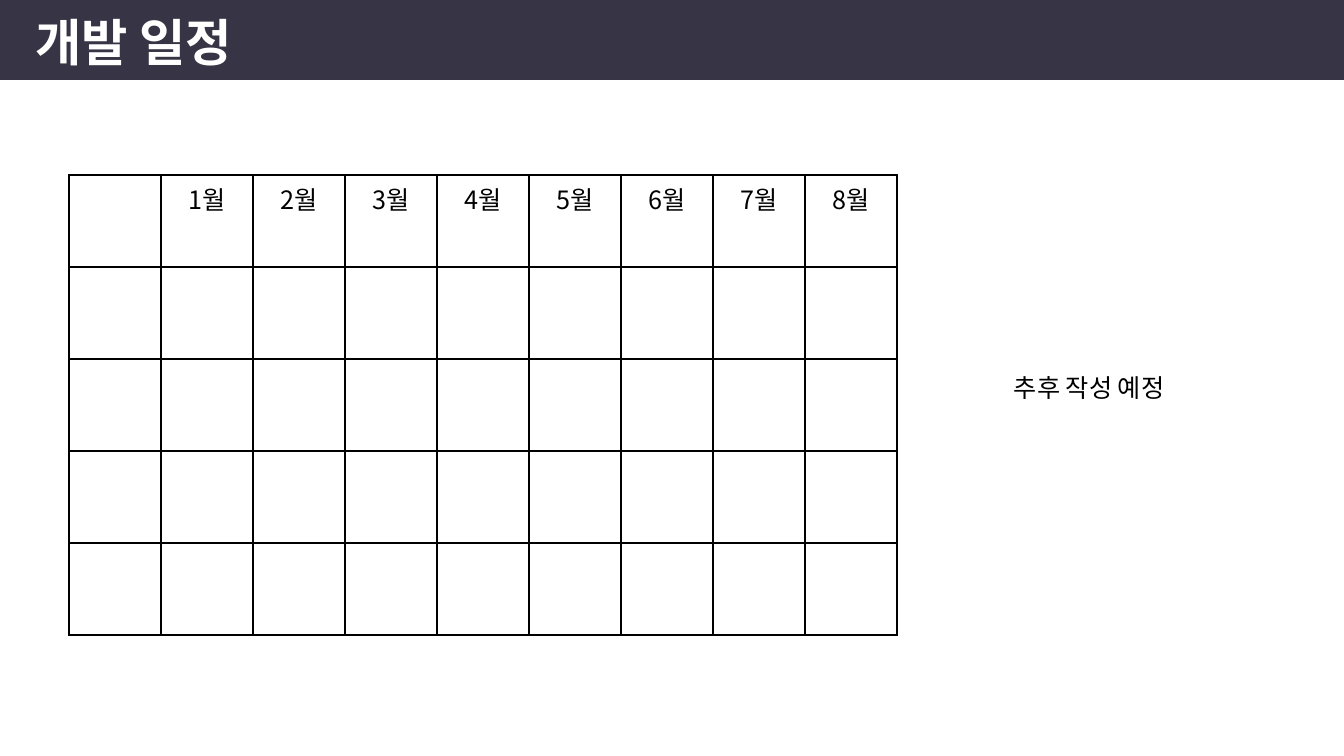
from lxml import etree
from pptx import Presentation
from pptx.dml.color import RGBColor
from pptx.enum.shapes import MSO_SHAPE
from pptx.enum.text import MSO_ANCHOR, MSO_AUTO_SIZE, PP_ALIGN
from pptx.oxml.ns import qn
from pptx.util import Pt

PX = 914400 / 100.8
SLIDE_WIDTH, SLIDE_HEIGHT = 1344, 756
KOREAN_FONT = "Noto Sans CJK KR"
MONTHS = [f"{month}월" for month in range(1, 9)]
BLANK_ROWS = 4


def px(*lengths):
    return [round(length * PX) for length in lengths]


def color(hex_value):
    return RGBColor.from_string(hex_value)


def format_text(text_frame, size, font_name, hex_value, align, bold=False):
    paragraph = text_frame.paragraphs[0]
    paragraph.alignment = align
    for run in paragraph.runs:
        font = run.font
        font.size, font.name, font.bold = Pt(size), font_name, bold
        font.color.rgb = color(hex_value)
        east_asian = etree.SubElement(run._r.get_or_add_rPr(), qn("a:ea"))
        east_asian.set("typeface", KOREAN_FONT)


def add_header(slide, left, top, width, height):
    title = slide.shapes.title
    bar = slide.shapes.add_shape(MSO_SHAPE.RECTANGLE, *px(left, top, width, height))
    bar.shadow.inherit = False
    bar.fill.solid()
    bar.fill.fore_color.rgb = color("373545")
    bar.line.fill.background()
    title.element.addprevious(bar.element)

    title.left, title.top, title.width, title.height = px(left + 25, top + 6, 238, 71)
    frame = title.text_frame
    frame.text = "개발 일정"
    frame.word_wrap = False
    frame.auto_size = MSO_AUTO_SIZE.SHAPE_TO_FIT_TEXT
    frame.vertical_anchor = MSO_ANCHOR.TOP
    format_text(frame, 36, "Arial", "FFFFFF", PP_ALIGN.LEFT, bold=True)


def set_borders(cell, hex_value, points):
    """Draw all four sides of a cell; the lines must precede its fill."""
    properties = cell._tc.get_or_add_tcPr()
    for index, side in enumerate(("lnL", "lnR", "lnT", "lnB")):
        line = etree.Element(qn(f"a:{side}"), w=str(Pt(points)))
        fill = etree.SubElement(line, qn("a:solidFill"))
        etree.SubElement(fill, qn("a:srgbClr"), val=hex_value)
        properties.insert(index, line)


def add_schedule(slide, left, top, cell_size):
    rows, columns = 1 + BLANK_ROWS, 1 + len(MONTHS)
    box = px(left, top, columns * cell_size, rows * cell_size)
    table = slide.shapes.add_table(rows, columns, *box).table
    table.first_row = table.horz_banding = False
    for cell in table.iter_cells():
        cell.fill.background()
        set_borders(cell, "000000", 1)
    for column, month in enumerate(MONTHS, start=1):
        frame = table.cell(0, column).text_frame
        frame.text = month
        format_text(frame, 18, KOREAN_FONT, "000000", PP_ALIGN.CENTER)


def add_note(slide, left, top, width, height):
    frame = slide.shapes.add_textbox(*px(left, top, width, height)).text_frame
    frame.text = "추후 작성 예정"
    frame.word_wrap = True
    frame.auto_size = MSO_AUTO_SIZE.SHAPE_TO_FIT_TEXT
    format_text(frame, 18, KOREAN_FONT, "000000", PP_ALIGN.LEFT)


def main():
    presentation = Presentation()
    presentation.slide_width, presentation.slide_height = px(SLIDE_WIDTH, SLIDE_HEIGHT)
    slide = presentation.slides.add_slide(presentation.slide_layouts[5])
    add_header(slide, 0, 0, SLIDE_WIDTH, 80)
    add_schedule(slide, 69, 175, 92)
    add_note(slide, 1004, 367, 239, 40)
    presentation.save("out.pptx")


if __name__ == "__main__":
    main()
